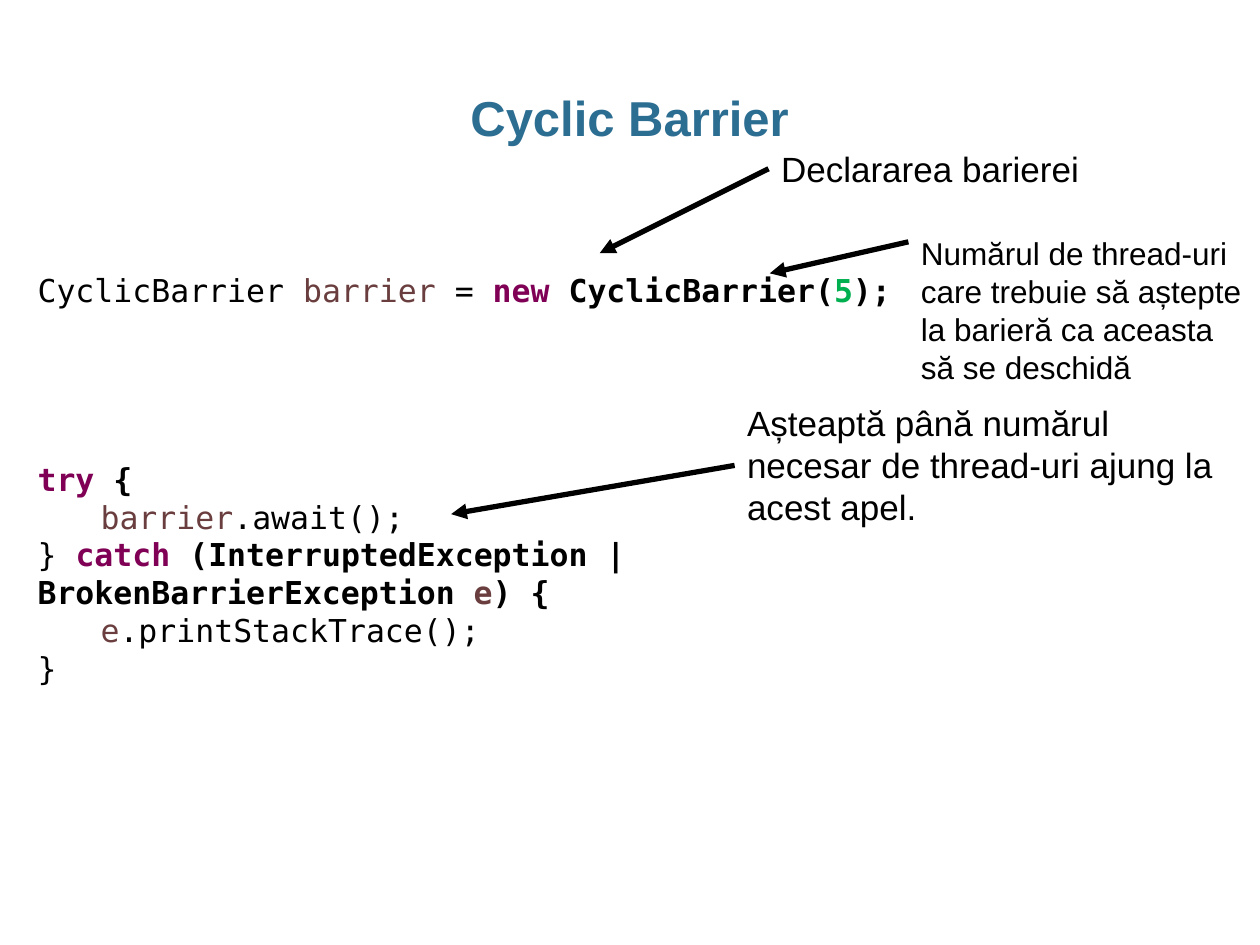
"""Build the Cyclic Barrier slide: code on the left, notes with arrows."""
from lxml import etree
from pptx import Presentation
from pptx.dml.color import RGBColor
from pptx.enum.shapes import MSO_CONNECTOR
from pptx.enum.text import PP_ALIGN
from pptx.oxml.ns import qn
from pptx.util import Pt

STRAIGHT = MSO_CONNECTOR.STRAIGHT
CENTER = PP_ALIGN.CENTER
LEFT_SIDE = 1
SANS, MONO = "Arial", "DejaVu Sans Mono"
BLACK, BLUE = "000000", "2C6D92"
WORD, NAME, NUM = "7F0055", "6A3E3E", "00B050"

TITLE = ("Cyclic Barrier", (24.5, 49, 670.5, 36))
CODE_BOX = (14.4, 151.2, 566.6, 247)
BLOCK_GAP = 86.4
BLOCKS = [
    [
        [("CyclicBarrier ", BLACK, False), ("barrier", NAME, False),
         (" = ", BLACK, False), ("new ", WORD, True),
         ("CyclicBarrier(", BLACK, True), ("5", NUM, True),
         (");", BLACK, True)],
    ],
    [
        [("try", WORD, True), (" {", BLACK, True)],
        [("\tbarrier", NAME, False), (".await();", BLACK, False)],
        [("} ", BLACK, False), ("catch", WORD, True),
         (" (InterruptedException | BrokenBarrierException ", BLACK, True),
         ("e", NAME, True), (") {", BLACK, True)],
        [("\te", NAME, False), (".printStackTrace();", BLACK, False)],
        [("}", BLACK, False)],
    ],
]
NOTES = [
    {"text": "Declararea barierei", "size": 20,
     "box": (439.2, 80.6, 187, 31.7), "tip": (342.7, 144.7)},
    {"text": "Numărul de thread-uri care trebuie să aștepte la barieră "
             "ca aceasta să se deschidă", "size": 18,
     "box": (519.1, 130.3, 198, 94.3), "tip": (439.9, 156.2),
     "start": (519.1, 138.2)},
    {"text": "Așteaptă până numărul necesar de thread-uri ajung la "
             "acest apel.", "size": 20,
     "box": (419.8, 226, 295.2, 79.9), "tip": (257.8, 293.8)},
]


def paint(hue):
    return RGBColor.from_string(hue)


def add_box(slide, box):
    shape = slide.shapes.add_textbox(*map(Pt, box))
    shape.text_frame.word_wrap = True
    return shape


def style(para, face, size, hue=None):
    para.font.name, para.font.size = face, Pt(size)
    if hue:
        para.font.color.rgb = paint(hue)


def add_title(slide):
    text, box = TITLE
    frame = add_box(slide, box).text_frame
    frame.margin_left = frame.margin_right = 0
    para = frame.paragraphs[0]
    para.text, para.alignment, para.line_spacing = text, CENTER, 0.95
    style(para, SANS, 28, BLUE)
    para.font.bold = True


def add_code(slide):
    frame = add_box(slide, CODE_BOX).text_frame
    para = frame.paragraphs[0]
    for b, block in enumerate(BLOCKS):
        for n, line in enumerate(block):
            if b or n:
                para = frame.add_paragraph()
            if b and not n:
                para.space_before = Pt(BLOCK_GAP)
            style(para, MONO, 18)
            for text, hue, bold in line:
                run = para.add_run()
                run.text = text
                run.font.color.rgb, run.font.bold = paint(hue), bold


def add_note(slide, note):
    shape = add_box(slide, note["box"])
    para = shape.text_frame.paragraphs[0]
    para.text = note["text"]
    style(para, SANS, note["size"], BLACK)

    left, top, _, high = note["box"]
    start = note.get("start", (left, top + high / 2))
    arrow = slide.shapes.add_connector(
        STRAIGHT, *map(Pt, start + note["tip"]))
    if "start" not in note:
        arrow.begin_connect(shape, LEFT_SIDE)
    arrow.line.color.rgb, arrow.line.width = paint(BLACK), Pt(3)
    etree.SubElement(arrow.line._get_or_add_ln(), qn("a:tailEnd"),
                     type="triangle")
    etree.SubElement(arrow._element.spPr, qn("a:effectLst"))


def main():
    deck = Presentation()
    deck.slide_width, deck.slide_height = Pt(720), Pt(540)
    slide = deck.slides.add_slide(deck.slide_layouts[6])
    add_title(slide)
    add_code(slide)
    for note in NOTES:
        add_note(slide, note)
    deck.save("out.pptx")


if __name__ == "__main__":
    main()
